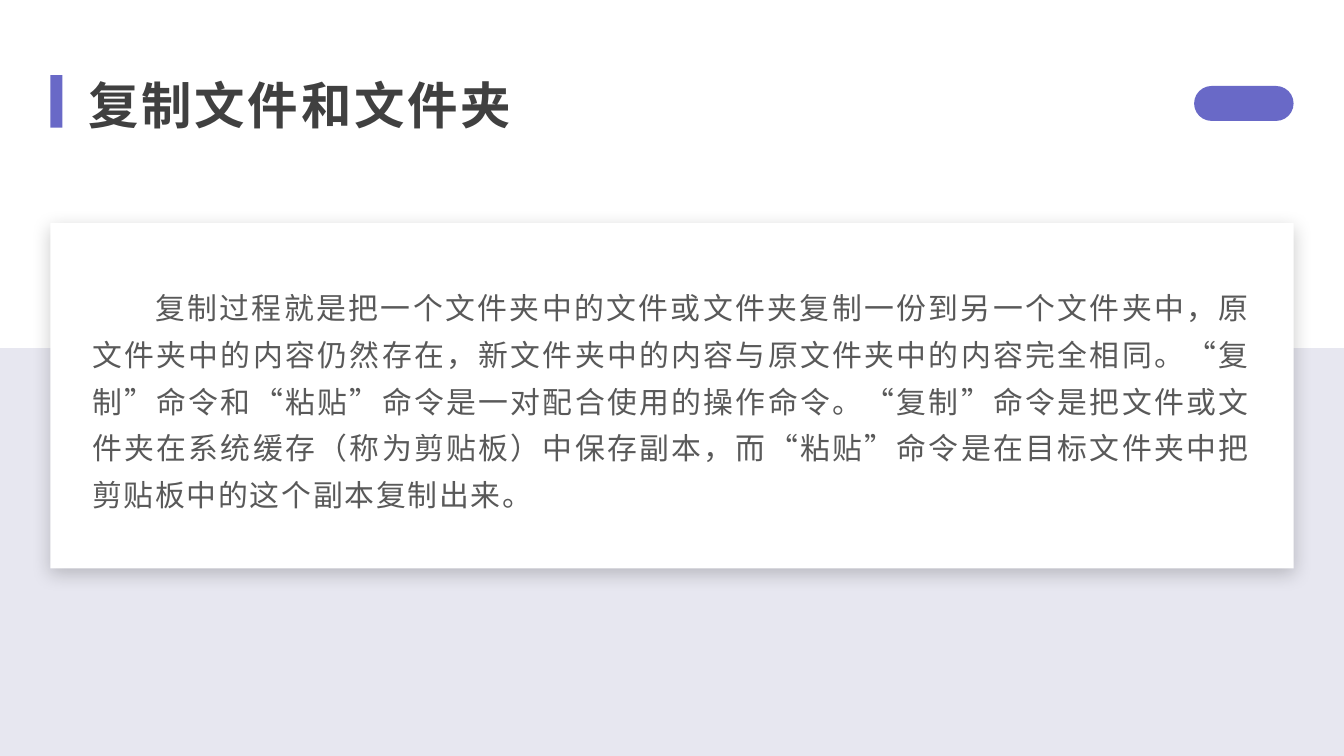
from lxml import etree
from pptx import Presentation
from pptx.dml.color import RGBColor
from pptx.enum import shapes, text
from pptx.oxml.ns import qn
from pptx.util import Inches, Pt

FONT = "Noto Sans CJK SC"
WHITE = RGBColor(0xFF, 0xFF, 0xFF)
PALE = RGBColor(0xE7, 0xE7, 0xF0)
VIOLET = RGBColor(0x69, 0x69, 0xC7)
DARK = RGBColor(0x40, 0x40, 0x40)
GRAY = RGBColor(0x59, 0x59, 0x59)

TITLE = "复制文件和文件夹"
BODY = (
    "复制过程就是把一个文件夹中的文件或文件夹复制一份到另一个文件夹中，"
    "原文件夹中的内容仍然存在，新文件夹中的内容与原文件夹中的内容完全相同。"
    "“复制”命令和“粘贴”命令是一对配合使用的操作命令。"
    "“复制”命令是把文件或文件夹在系统缓存（称为剪贴板）中保存副本，"
    "而“粘贴”命令是在目标文件夹中把剪贴板中的这个副本复制出来。"
)

WIDTH = 10
HEIGHT = WIDTH * 9 / 16
EDGE = 0.375
EDGE = 3 / 8
PAD = 0.25
BAND_TOP = 2.59
CARD = (EDGE, 1.66, WIDTH - 2 * EDGE, 2.57)
PILL_W = 0.74

RECT = shapes.MSO_SHAPE.RECTANGLE
ROUND = shapes.MSO_SHAPE.ROUNDED_RECTANGLE


def add_block(slide, kind, box, color):
    block = slide.shapes.add_shape(kind, *map(Inches, box))
    block.shadow.inherit = False
    block.fill.solid()
    block.fill.fore_color.rgb = color
    block.line.fill.background()
    return block


def cast_shadow(block):
    """Put a soft shadow below the block."""
    effects = block._element.spPr.find(qn("a:effectLst"))
    shadow = etree.SubElement(
        effects, qn("a:outerShdw"), blurRad=str(Pt(10)), dist=str(Pt(3)),
        dir=str(90 * 60000), algn="t", rotWithShape="0")
    color = etree.SubElement(shadow, qn("a:srgbClr"), val="000000")
    etree.SubElement(color, qn("a:alpha"), val="20000")


def add_words(slide, box, words, size, color, gap, bold=False):
    """Add a text box with letters spaced by gap points."""
    frame = slide.shapes.add_textbox(*map(Inches, box)).text_frame
    frame.word_wrap = True
    frame.vertical_anchor = text.MSO_ANCHOR.MIDDLE
    frame.text = words
    run = frame.paragraphs[0].runs[0]
    run.font.name = FONT
    run.font.size = Pt(size)
    run.font.bold = bold
    run.font.color.rgb = color
    props = run.font._element
    props.set("spc", str(int(gap * 100)))
    etree.SubElement(props, qn("a:ea"), typeface=FONT)
    return frame


def main():
    deck = Presentation()
    deck.slide_width, deck.slide_height = Inches(WIDTH), Inches(HEIGHT)
    slide = deck.slides.add_slide(deck.slide_layouts[6])

    add_block(slide, RECT, (0, BAND_TOP, WIDTH, HEIGHT - BAND_TOP), PALE)
    cast_shadow(add_block(slide, RECT, CARD, WHITE))

    left, top, wide, high = CARD
    inner = (left + PAD, top + PAD, wide - 2 * PAD, high - 2 * PAD)
    frame = add_words(slide, inner, BODY, 16, GRAY, 1)
    frame.margin_left = frame.margin_right = Inches(0.06)
    frame.margin_top = frame.margin_bottom = Inches(0.03)
    para = frame.paragraphs[0]
    para.alignment = text.PP_ALIGN.JUSTIFY
    para.line_spacing = 1.3
    para.space_after = Pt(8)
    para._p.get_or_add_pPr().set("indent", str(Inches(0.47)))

    pill = add_block(
        slide, ROUND, (WIDTH - EDGE - PILL_W, 0.64, PILL_W, 0.26), VIOLET)
    pill.adjustments[0] = 0.5
    add_block(slide, RECT, (EDGE, 0.56, 0.09, 0.39), VIOLET)
    add_words(slide, (0.56, 0.51, 7.91, 0.53), TITLE, 27, DARK, 1.5, bold=True)

    deck.save("out.pptx")


if __name__ == "__main__":
    main()
